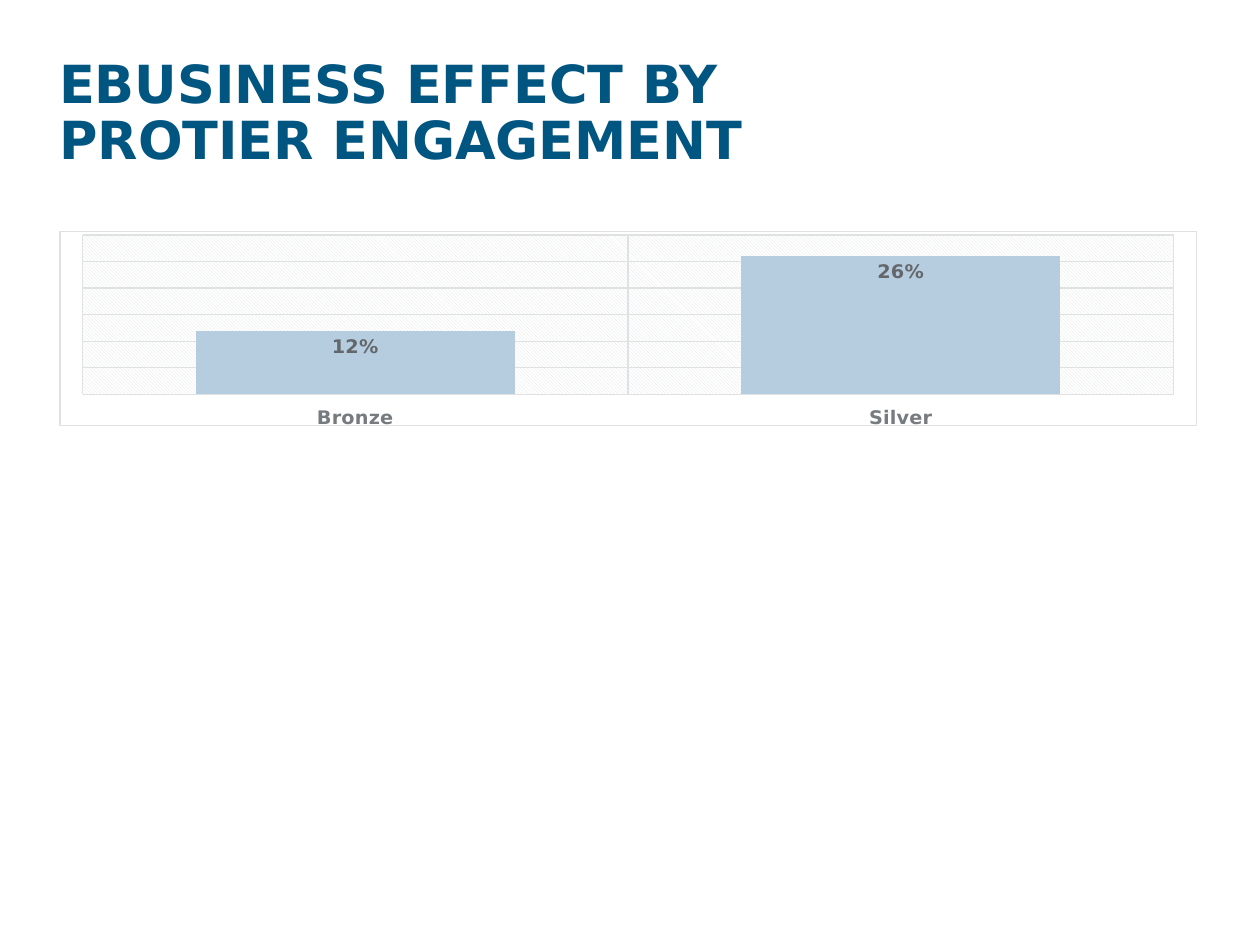
"""Build a slide with a title and a column chart of effect by engagement tier."""
from lxml import etree
from pptx import Presentation
from pptx.chart.data import CategoryChartData
from pptx.dml.color import RGBColor
from pptx.enum.chart import XL_CHART_TYPE as ChartType
from pptx.enum.chart import XL_LABEL_POSITION as LabelPosition
from pptx.enum.chart import XL_TICK_LABEL_POSITION as TickLabels
from pptx.enum.chart import XL_TICK_MARK as TickMark
from pptx.enum.text import MSO_ANCHOR as Anchor
from pptx.util import Inches, Pt

COLORS = {
    "title": "005581",
    "text": "323436",
    "axis": "767B80",
    "label": "63676B",
    "rule": "DFE1E2",
    "column": "B6CDDF",
    "white": "FFFFFF",
}
FONT = "DejaVu Sans"
SPACES = (
    'xmlns:c="http://schemas.openxmlformats.org/drawingml/2006/chart" '
    'xmlns:a="http://schemas.openxmlformats.org/drawingml/2006/main"'
)


def color(name):
    return RGBColor.from_string(COLORS[name])


def solid(name):
    return f'<a:solidFill><a:srgbClr val="{COLORS[name]}"/></a:solidFill>'


class SlideBuilder:
    def __init__(self, deck):
        self.page = deck.slides.add_slide(deck.slide_layouts[6])

    def style(self, font, size, tint, bold=False):
        for key, value in {"name": FONT, "size": Pt(size), "bold": bold}.items():
            setattr(font, key, value)
        font.color.rgb = color(tint)

    def rule(self, line):
        line.color.rgb = color("rule")
        line.width = Pt(0.75)

    def title(self, text, *place):
        box = self.page.shapes.add_textbox(*map(Inches, place))
        frame = box.text_frame
        settings = {"word_wrap": True, "vertical_anchor": Anchor.TOP}
        settings |= {f"margin_{side}": 0 for side in ("left", "top", "right", "bottom")}
        for key, value in settings.items():
            setattr(frame, key, value)
        para = frame.paragraphs[0]
        para.line_spacing = 0.9
        span = para.add_run()
        span.text = text
        self.style(span.font, 30, "title", True)

    def columns(self, values, *place):
        data = CategoryChartData(number_format="0%")
        data.categories = list(values)
        data.add_series("Series 1", list(values.values()))
        chart = self.page.shapes.add_chart(
            ChartType.COLUMN_CLUSTERED, *map(Inches, place), data
        ).chart
        chart.has_legend = chart.has_title = False
        self.style(chart.font, 10, "text")
        self.axes(chart)
        self.series(chart.plots[0])
        self.areas(chart)

    def axes(self, chart):
        category, value = chart.category_axis, chart.value_axis
        for axis in (category, value):
            axis.has_major_gridlines = True
            self.rule(axis.major_gridlines.format.line)
            axis.major_tick_mark = axis.minor_tick_mark = TickMark.NONE
        category.tick_label_position = TickLabels.LOW
        self.style(category.tick_labels.font, 11, "axis", True)
        self.rule(category.format.line)
        scale = {"minimum_scale": 0, "maximum_scale": 0.3, "major_unit": 0.05, "visible": False}
        for key, setting in scale.items():
            setattr(value, key, setting)

    def series(self, plot):
        for key, value in {"gap_width": 71, "overlap": -43, "vary_by_categories": False}.items():
            setattr(plot, key, value)
        fill = plot.series[0].format.fill
        fill.solid()
        fill.fore_color.rgb = color("column")
        labels = plot.series[0].data_labels
        settings = {
            "show_value": True,
            "position": LabelPosition.INSIDE_END,
            "number_format": "0%",
            "number_format_is_linked": False,
        }
        for key, value in settings.items():
            setattr(labels, key, value)
        self.style(labels.font, 11, "label", True)

    def areas(self, chart):
        root = chart.element
        body = root.chart
        plot_area = body.plotArea
        border = f'<a:ln w="{Pt(0.75)}">{solid("rule")}</a:ln>'
        body.addnext(etree.fromstring(f"<c:spPr {SPACES}>{solid('white')}{border}</c:spPr>"))
        plot_area.append(etree.fromstring(
            f'<c:spPr {SPACES}><a:pattFill prst="ltDnDiag">'
            f'<a:fgClr><a:srgbClr val="{COLORS["rule"]}"/></a:fgClr>'
            f'<a:bgClr><a:srgbClr val="{COLORS["white"]}"/></a:bgClr>'
            "</a:pattFill></c:spPr>"
        ))
        for old in plot_area.xpath("./c:layout"):
            plot_area.remove(old)
        modes = "".join(f'<c:{axis}Mode val="edge"/>' for axis in "xy")
        frame = {"x": 0.02, "y": 0.02, "w": 0.96, "h": 0.82}
        sizes = "".join(f'<c:{key} val="{value}"/>' for key, value in frame.items())
        plot_area.insert(0, etree.fromstring(
            f'<c:layout {SPACES}><c:manualLayout><c:layoutTarget val="inner"/>'
            f"{modes}{sizes}</c:manualLayout></c:layout>"
        ))


deck = Presentation()
deck.slide_width, deck.slide_height = Inches(10), Inches(7.5)
slide = SlideBuilder(deck)
slide.title("EBUSINESS EFFECT BY PROTIER ENGAGEMENT", 0.47, 0.46, 6.2, 0.62)
slide.columns({"Bronze": 0.12, "Silver": 0.26}, 0.47, 1.83, 9.03, 1.58)
deck.save("out.pptx")
